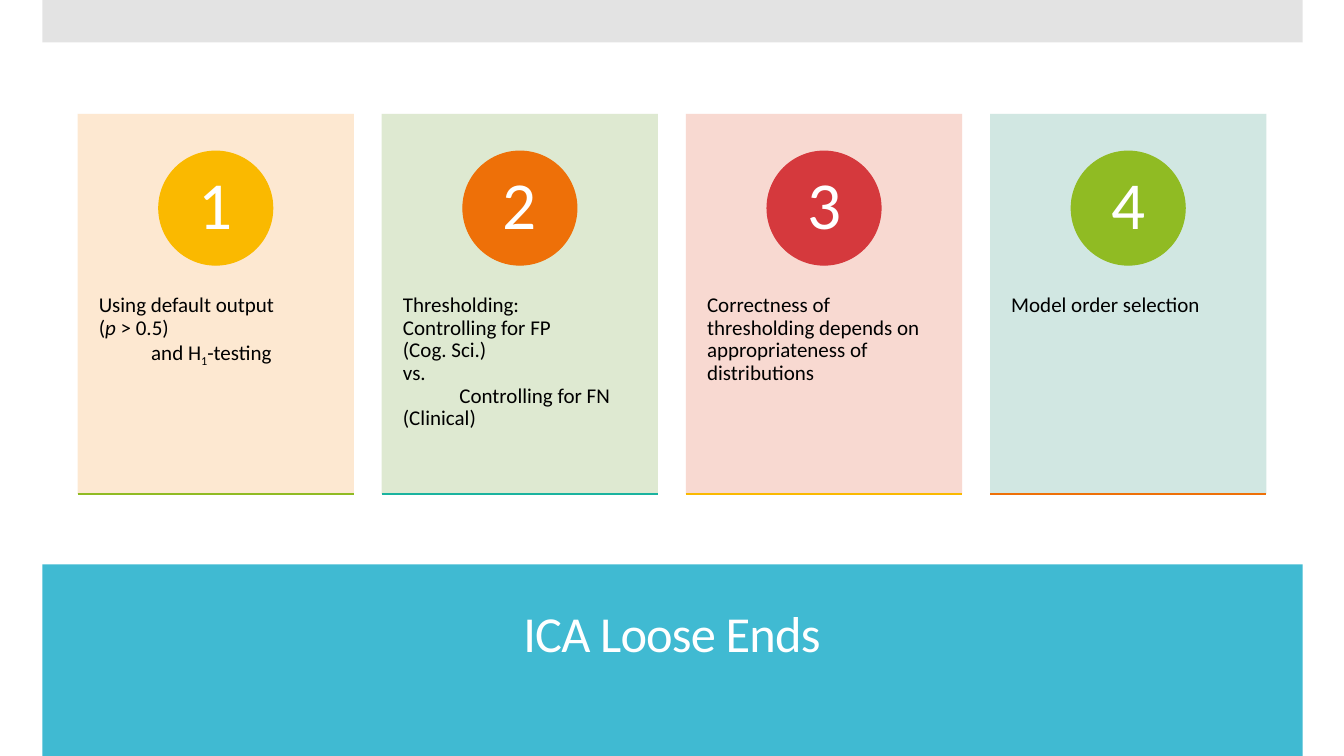
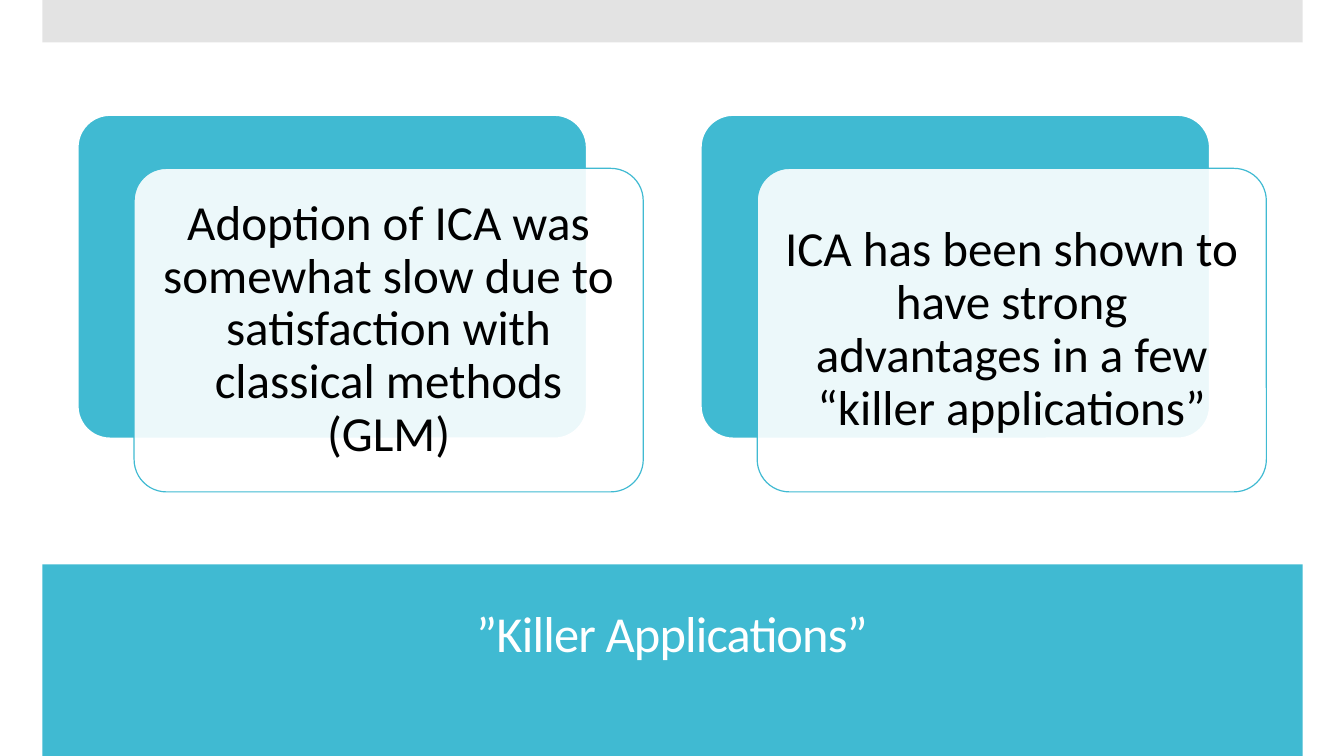
from dataclasses import dataclass
from typing import Any, Optional

import pptx
import pptx.dml.color
import pptx.enum.shapes
import pptx.enum.text
import pptx.oxml
import pptx.oxml.ns
import pptx.shapes.autoshape
import pptx.slide
import pptx.util

Inches, Pt = pptx.util.Inches, pptx.util.Pt
Shape = pptx.shapes.autoshape.Shape
Slide = pptx.slide.Slide
FORM = pptx.enum.shapes.MSO_SHAPE
ALIGN = pptx.enum.text.PP_ALIGN
ANCHOR = pptx.enum.text.MSO_ANCHOR
qn = pptx.oxml.ns.qn

HUES = {
    "white": "FFFFFF", "black": "000000", "blue": "40BAD2", "gray": "C8C8C8",
    "gold": "FAB900", "orange": "EE7008", "red": "D5393D", "green": "90BB23",
    "teal": "1AB39F", "peach": "FDE6CC", "sage": "DBE7CD", "rose": "F8D5CC",
    "mist": "CDE5DF",
}
FONT = "Calibri"
LEFT, RIGHT = 0.77, 12.56
THIN = 0.85


@dataclass
class Box:
    x: float
    y: float
    w: float
    h: float


@dataclass
class Run:
    text: str
    slant: bool = False
    sub: bool = False


@dataclass
class Line:
    runs: list[Run]
    indent: float = 0


@dataclass
class Card:
    fill: str
    disc: str
    rule: str
    lines: list[Line]


@dataclass
class Style:
    size: float
    hue: str
    align: Any = ALIGN.CENTER
    anchor: Any = ANCHOR.MIDDLE
    pad: tuple[float, float] = (0.1, 0.05)
    top: Optional[float] = None
    track: int = 0


def plain(text: str, indent: float = 0) -> Line:
    return Line([Run(text)], indent)


def color(name: str) -> pptx.dml.color.RGBColor:
    return pptx.dml.color.RGBColor.from_string(HUES[name])


def node(tag: str) -> Any:
    return pptx.oxml.parse_xml(f"<a:{tag} {pptx.oxml.ns.nsdecls('a')}/>")


def assign(item: Any, values: dict[str, Any]) -> None:
    for key, value in values.items():
        setattr(item, key, value)


def place(item: Any, box: Box) -> None:
    assign(item, {"left": Inches(box.x), "top": Inches(box.y),
                  "width": Inches(box.w), "height": Inches(box.h)})


# Shapes and text
def draw(slide: Slide, form: Any, box: Box, fill: str, alpha: int = 100,
         edge: Optional[str] = None, width: float = THIN) -> Shape:
    shape = slide.shapes.add_shape(form, Inches(box.x), Inches(box.y),
                                   Inches(box.w), Inches(box.h))
    shape.shadow.inherit = False
    shape.fill.solid()
    shape.fill.fore_color.rgb = color(fill)
    if alpha < 100:
        veil = node("alpha")
        veil.set("val", str(alpha * 1000))
        shape.element.spPr.find(qn("a:solidFill"))[0].append(veil)
    if edge:
        shape.line.color.rgb = color(edge)
        shape.line.width = Pt(width)
    else:
        shape.line.fill.background()
    return shape


def write(shape: Any, lines: list[Line], style: Style) -> None:
    frame = shape.text_frame
    side, edge = map(Inches, style.pad)
    assign(frame, {
        "word_wrap": True, "auto_size": pptx.enum.text.MSO_AUTO_SIZE.NONE,
        "vertical_anchor": style.anchor, "margin_left": side,
        "margin_right": side, "margin_bottom": edge,
        "margin_top": edge if style.top is None else Inches(style.top)})
    for spot, line in enumerate(lines):
        para = frame.add_paragraph() if spot else frame.paragraphs[0]
        assign(para, {"alignment": style.align, "line_spacing": 0.9,
                      "space_before": Pt(0), "space_after": Pt(0)})
        if line.indent:
            para._p.get_or_add_pPr().set("indent", str(Inches(line.indent)))
        for part in line.runs:
            run = para.add_run()
            run.text = part.text
            assign(run.font, {"name": FONT, "size": Pt(style.size),
                              "italic": part.slant})
            run.font.color.rgb = color(style.hue)
            props = run._r.get_or_add_rPr()
            if part.sub:
                props.set("baseline", "-25000")
            if style.track:
                props.set("spc", str(style.track))


def rule(slide: Slide, box: Box, hue: str) -> None:
    base = Inches(box.y + box.h)
    line = slide.shapes.add_connector(
        pptx.enum.shapes.MSO_CONNECTOR.STRAIGHT,
        Inches(box.x), base, Inches(box.x + box.w), base)
    line.line.color.rgb = color(hue)
    line.line.width = Pt(THIN)
    line._element.spPr.append(node("effectLst"))


# Shared bands and title
def start(deck: Any, title: str) -> Slide:
    slide = deck.slides.add_slide(deck.slide_layouts[5])
    head = slide.shapes.title
    for box, hue, alpha in ((Box(0.42, 5.6, 12.5, 1.9), "blue", 100),
                            (Box(0.42, 0, 12.5, 0.42), "gray", 50)):
        band = draw(slide, FORM.RECTANGLE, box, hue, alpha)
        head.element.addprevious(band.element)
    place(head, Box(0.7, 5.75, 11.93, 1.12))
    write(head, [plain(title)], Style(36, "white", track=-60))
    return slide


# Numbered cards
CARDS = [
    Card("peach", "gold", "green", [
        plain("Using default output"),
        Line([Run("("), Run("p ", slant=True), Run("> 0.5)")]),
        Line([Run("and H"), Run("1", sub=True), Run("-testing")], 0.52)]),
    Card("sage", "orange", "teal", [
        plain("Thresholding:"), plain("Controlling for FP"),
        plain("(Cog. Sci.)"), plain("vs."),
        plain("Controlling for FN (Clinical)", 0.56)]),
    Card("rose", "red", "gold", [
        plain("Correctness of thresholding depends on "
              "appropriateness of distributions")]),
    Card("mist", "green", "orange", [plain("Model order selection")]),
]


def cards(slide: Slide) -> None:
    wide, disc = 2.74, 1.13
    step = (RIGHT - LEFT - wide) / (len(CARDS) - 1)
    body = Style(15, "black", ALIGN.LEFT, ANCHOR.TOP, (0.21, 0.36), top=1.79)
    digit = Style(48, "white", pad=(0.09, 0.01))
    for spot, card in enumerate(CARDS):
        box = Box(LEFT + spot * step, 1.13, wide, 3.77)
        tile = draw(slide, FORM.RECTANGLE, box, card.fill, 90)
        write(tile, card.lines, body)
        ring = Box(box.x + (wide - disc) / 2, 1.5, disc, disc)
        mark = draw(slide, FORM.OVAL, ring, card.disc, edge=card.disc)
        write(mark, [plain(str(spot + 1))], digit)
        rule(slide, box, card.rule)


# Layered panels
PANELS = [
    "Adoption of ICA was somewhat slow due to satisfaction with "
    "classical methods (GLM)",
    "ICA has been shown to have strong advantages in a few "
    "“killer applications”",
]


def panels(slide: Slide) -> None:
    wide, high, shift, drop = 5.05, 3.21, 0.56, 0.53
    step = RIGHT - LEFT - wide - shift
    style = Style(35, "black", pad=(0.15, 0.15))
    for spot, text in enumerate(PANELS):
        x, y = LEFT + spot * step, 1.14
        back = draw(slide, FORM.ROUNDED_RECTANGLE, Box(x, y, wide, high),
                    "blue", edge="white", width=1.35)
        front = draw(slide, FORM.ROUNDED_RECTANGLE,
                     Box(x + shift, y + drop, wide, high),
                     "white", 90, edge="blue")
        for shape in (back, front):
            shape.adjustments[0] = 0.1
        write(front, [plain(text)], style)


def main() -> None:
    deck = pptx.Presentation()
    assign(deck, {"slide_width": Inches(13.33), "slide_height": Inches(7.5)})
    cards(start(deck, "ICA Loose Ends"))
    panels(start(deck, "”Killer Applications”"))
    deck.save("out.pptx")


if __name__ == "__main__":
    main()
